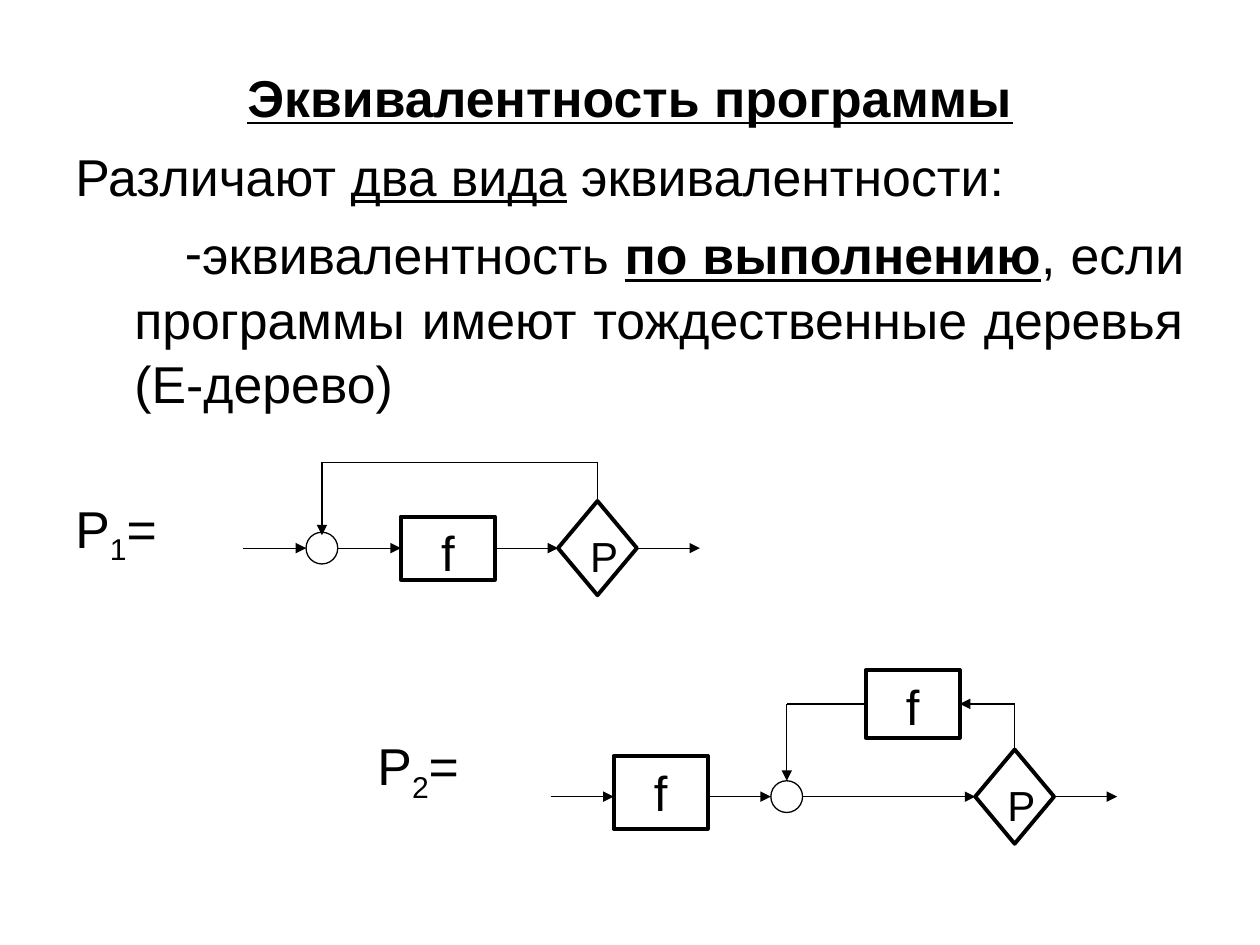
from lxml import etree
from pptx import Presentation
from pptx.dml.color import RGBColor
from pptx.enum.shapes import MSO_CONNECTOR, MSO_SHAPE
from pptx.enum.text import MSO_ANCHOR, PP_ALIGN
from pptx.oxml.ns import qn
from pptx.util import Cm, Pt

RECT, CIRCLE, DECISION = MSO_SHAPE.RECTANGLE, MSO_SHAPE.OVAL, MSO_SHAPE.FLOWCHART_DECISION
STRAIGHT = MSO_CONNECTOR.STRAIGHT
CENTER, JUSTIFY = PP_ALIGN.CENTER, PP_ALIGN.JUSTIFY
TOP, LEFT, RIGHT = 0, 1, 3  # connection sites

BLACK, WHITE = "000000", "FFFFFF"
FONT = "Arial"
BODY_SIZE = 29.6
THIN, THICK = 0.75, 2.25
ROUND = 0.64  # diameter of a junction
BLOCK_W = 1.9  # width of an operator
RHOMB_W, RHOMB_H = 1.59, 1.9
STEP = 1.27  # length of a short arrow


def color(value):
    return RGBColor.from_string(value)


def add_span(para, text, size, **formats):
    span = para.add_run()
    span.text = text
    span.font.color.rgb = color(BLACK)
    for name, value in {"name": FONT, "size": Pt(size), **formats}.items():
        setattr(span.font, name, value)
    return span


def add_text(page, left, top, width, height):
    box = page.shapes.add_textbox(Cm(left), Cm(top), Cm(width), Cm(height))
    box.text_frame.word_wrap = True
    return box.text_frame


def add_bullet(para, char, margin, indent):
    props = para._p.get_or_add_pPr()
    props.set("marL", str(Cm(margin)))
    props.set("indent", str(Cm(indent)))
    etree.SubElement(props, qn("a:buFont")).set("typeface", FONT)
    etree.SubElement(props, qn("a:buChar")).set("char", char)


def add_node(page, kind, left, top, width, height, weight=THICK, label="", size=28):
    node = page.shapes.add_shape(kind, Cm(left), Cm(top), Cm(width), Cm(height))
    node.shadow.inherit = False
    node.fill.solid()
    node.fill.fore_color.rgb = color(WHITE)
    node.line.color.rgb = color(BLACK)
    node.line.width = Pt(weight)
    if label:
        node.text_frame.vertical_anchor = MSO_ANCHOR.TOP
        para = node.text_frame.paragraphs[0]
        para.alignment = CENTER
        add_span(para, label, size)
    return node


def add_line(page, start, end, arrow=True, begin=None, finish=None):
    """Draw a line; begin and finish are (node, site) pairs to join."""
    line = page.shapes.add_connector(STRAIGHT, *(Cm(v) for v in (*start, *end)))
    line.line.color.rgb = color(BLACK)
    line.line.width = Pt(THIN)
    props = line._element.spPr
    if arrow:
        etree.SubElement(props.find(qn("a:ln")), qn("a:tailEnd")).set("type", "triangle")
    etree.SubElement(props, qn("a:effectLst"))
    if begin:
        line.begin_connect(*begin)
    if finish:
        line.end_connect(*finish)


def add_statement(page, left, top, width, height):
    frame = add_text(page, left, top, width, height)
    paragraphs = [
        (CENTER, [("Эквивалентность программы", {"bold": True, "underline": True})]),
        (JUSTIFY, [("Различают ", {}), ("два вида", {"underline": True}),
                   (" эквивалентности:", {})]),
        (JUSTIFY, [("эквивалентность ", {}),
                   ("по выполнению", {"bold": True, "underline": True}),
                   (", если программы имеют тождественные деревья (Е-дерево)", {})]),
    ]
    for index, (alignment, spans) in enumerate(paragraphs):
        para = frame.add_paragraph() if index else frame.paragraphs[0]
        para.alignment = alignment
        para.line_spacing = 1.04
        para.space_before = Pt(8 if index else 0)
        for text, formats in spans:
            add_span(para, text, BODY_SIZE, **formats)
    add_bullet(para, "-", 1.19, 1.02)


def add_program_name(page, left, top, number):
    para = add_text(page, left, top, 3, 1.5).paragraphs[0]
    add_span(para, "P", BODY_SIZE)
    index = add_span(para, number, BODY_SIZE)
    index._r.get_or_add_rPr().set("baseline", "-25000")
    add_span(para, "=", BODY_SIZE)


def add_first_program(page, left, top):
    axis = top + 1.73
    circle_x = left + STEP
    block_x = circle_x + ROUND + STEP
    rhomb_x = block_x + BLOCK_W + STEP
    exit_x = rhomb_x + RHOMB_W
    circle_mid, rhomb_mid = circle_x + ROUND / 2, rhomb_x + RHOMB_W / 2

    # Nodes
    add_node(page, CIRCLE, circle_x, axis - ROUND / 2, ROUND, ROUND, THIN)
    block = add_node(page, RECT, block_x, axis - 1.27 / 2, BLOCK_W, 1.27, label="f")
    rhomb = add_node(page, DECISION, rhomb_x, axis - RHOMB_H / 2, RHOMB_W, RHOMB_H,
                     label="P", size=24)
    # Main path
    add_line(page, (left, axis), (circle_x, axis))
    add_line(page, (circle_x + ROUND, axis), (block_x, axis), finish=(block, LEFT))
    add_line(page, (block_x + BLOCK_W, axis), (rhomb_x, axis),
             begin=(block, RIGHT), finish=(rhomb, LEFT))
    add_line(page, (exit_x, axis), (exit_x + STEP, axis), begin=(rhomb, RIGHT))
    # Loop back
    add_line(page, (rhomb_mid, axis - RHOMB_H / 2), (rhomb_mid, top), False, (rhomb, TOP))
    add_line(page, (rhomb_mid, top), (circle_mid, top), False)
    add_line(page, (circle_mid, top), (circle_mid, axis - 0.26))


def add_second_program(page, left, top):
    axis, loop_y = top + 2.55, top + 0.68
    block_x = left + STEP
    circle_x = block_x + BLOCK_W + STEP
    upper_x = left + 6.35
    rhomb_x = left + 8.56
    exit_x = rhomb_x + RHOMB_W
    circle_mid, rhomb_mid = circle_x + ROUND / 2, rhomb_x + RHOMB_W / 2

    # Nodes
    add_node(page, RECT, block_x, top + 1.73, BLOCK_W, 1.47, label="f")
    add_node(page, CIRCLE, circle_x, axis - ROUND / 2, ROUND, ROUND, THIN)
    upper = add_node(page, RECT, upper_x, top, BLOCK_W, 1.36, label="f")
    rhomb = add_node(page, DECISION, rhomb_x, axis - RHOMB_H / 2, RHOMB_W, RHOMB_H,
                     label="P", size=24)
    # Main path
    add_line(page, (left, axis), (block_x, axis))
    add_line(page, (block_x + BLOCK_W, axis), (circle_x, axis))
    add_line(page, (circle_x + ROUND, axis), (rhomb_x, axis), finish=(rhomb, LEFT))
    add_line(page, (exit_x, axis), (exit_x + STEP, axis), begin=(rhomb, RIGHT))
    # Loop back through the upper operator
    add_line(page, (rhomb_mid, axis - RHOMB_H / 2), (rhomb_mid, loop_y), False, (rhomb, TOP))
    add_line(page, (rhomb_mid, loop_y), (upper_x + BLOCK_W, loop_y), finish=(upper, RIGHT))
    add_line(page, (upper_x, loop_y), (circle_mid, loop_y), False, (upper, LEFT))
    add_line(page, (circle_mid, loop_y), (circle_mid, axis - ROUND / 2))


def main():
    deck = Presentation()
    deck.slide_width, deck.slide_height = Cm(25.4), Cm(19.05)
    page = deck.slides.add_slide(deck.slide_layouts[6])
    add_statement(page, 1.27, 1.15, 22.86, 7.2)
    add_program_name(page, 1.27, 9.88, "1")
    add_first_program(page, 4.9, 9.32)
    add_program_name(page, 7.36, 14.66, "2")
    add_second_program(page, 11.1, 13.51)
    deck.save("out.pptx")


if __name__ == "__main__":
    main()
